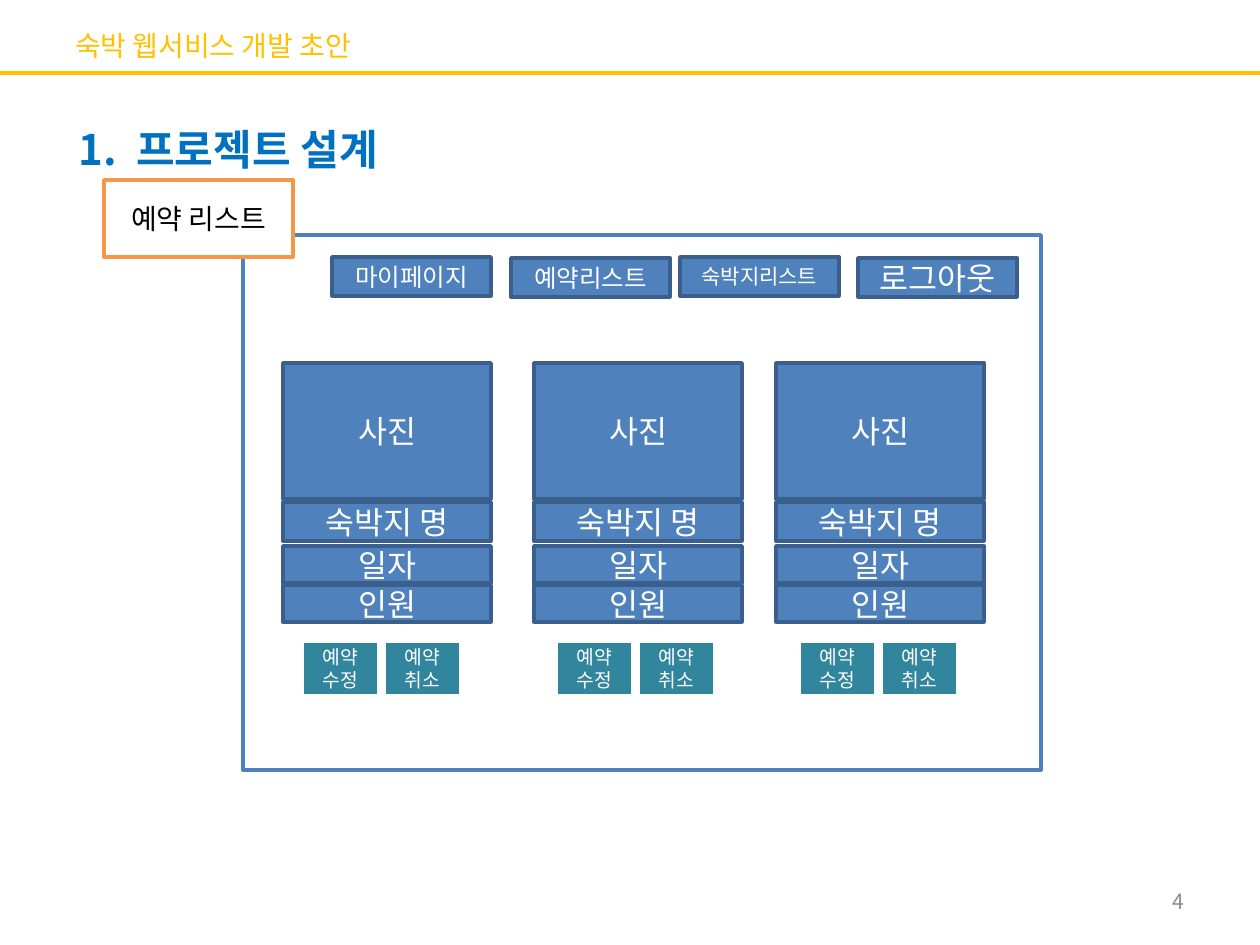
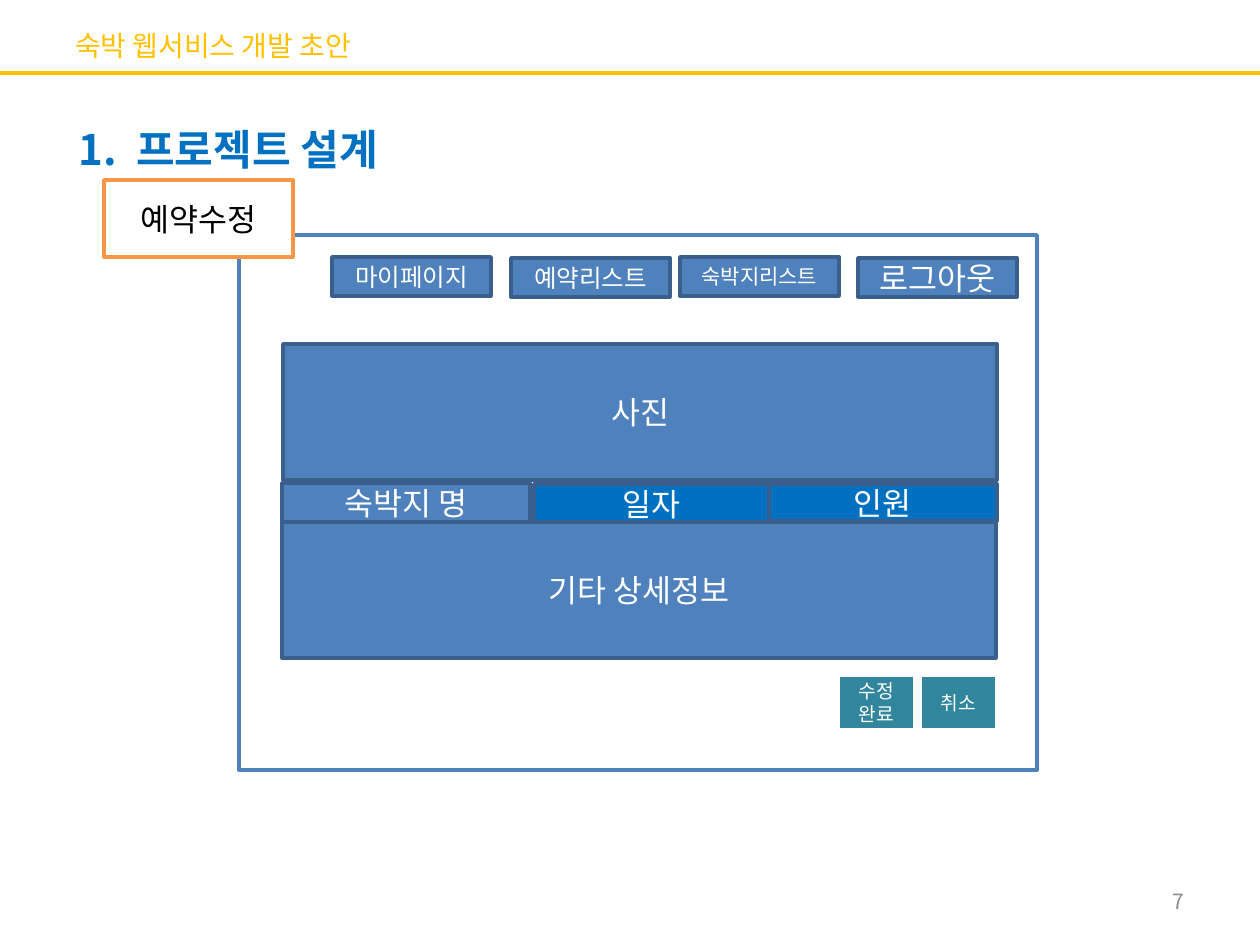
import pptx
import pptx.dml.color
import pptx.enum.shapes
import pptx.enum.text
import pptx.oxml.ns
import pptx.util
from lxml import etree

RGB = pptx.dml.color.RGBColor
WHITE = RGB(0xFF, 0xFF, 0xFF)
BLACK = RGB(0x00, 0x00, 0x00)
GOLD = RGB(0xFF, 0xC0, 0x00)
BLUE = RGB(0x4F, 0x81, 0xBD)
NAVY = RGB(0x3A, 0x5F, 0x8C)
BRIGHT = RGB(0x00, 0x70, 0xC0)
ORANGE = RGB(0xF7, 0x96, 0x46)
TEAL = RGB(0x31, 0x85, 0x9C)
GRAY = RGB(0x8C, 0x8C, 0x8C)
FONT = "Noto Sans CJK KR"
PX = 914400 / 126  # EMU per px

# Shared content: text, left, top, size
TITLE = "숙박 웹서비스 개발 초안"
HEADING = "1.\t프로젝트 설계"
HEADING_TAB = 58
NAV = [
    ("마이페이지", 332, 257, 14),
    ("예약리스트", 511, 258, 14),
    ("숙박지리스트", 680, 257, 12),
    ("로그아웃", 858, 258, 18),
]
NAV_SIZE = (159, 39)
BUTTON_SIZE, BUTTON_STEP = (77, 55), 82

# Reservation list: cards as (left, left of first button), rows as (text, top, height)
CARDS = [(283, 302), (534, 556), (776, 799)]
CARD_WIDTH = 208
CARD_ROWS = [
    ("사진", 363, 136),
    ("일자", 546, 37),
    ("인원", 585, 37),
    ("숙박지 명", 502, 39),
]
CARD_BUTTONS = ["예약수정", "예약취소"]
CARD_BUTTON_TOP = 641

# Reservation edit: text, box, fill
EDIT_BLOCKS = [
    ("사진", (283, 344, 714, 136), BLUE),
    ("일자", (534, 484, 235, 39), BRIGHT),
    ("인원", (769, 484, 228, 37), BRIGHT),
    ("숙박지 명", (282, 483, 248, 39), BLUE),
    ("기타 상세정보", (282, 522, 714, 136), BLUE),
]
EDIT_BUTTONS = ["수정완료", "취소"]
EDIT_BUTTON_LEFT, EDIT_BUTTON_TOP = 838, 675


def px(*values):
    return [round(v * PX) for v in values]


def write(tf, text, size, color, align, bold=False, tab=None):
    tf.word_wrap = True
    p = tf.paragraphs[0]
    p.text = text
    p.alignment = align
    if tab:
        tabs = etree.SubElement(p._p.get_or_add_pPr(), pptx.oxml.ns.qn("a:tabLst"))
        etree.SubElement(tabs, pptx.oxml.ns.qn("a:tab"), pos=str(px(tab)[0]), algn="l")
    for r in p.runs:
        r.font.size = pptx.util.Pt(size)
        r.font.bold = bold
        r.font.name = FONT
        r.font.color.rgb = color
        etree.SubElement(r._r.get_or_add_rPr(), pptx.oxml.ns.qn("a:ea"), typeface=FONT)


def add_text(slide, box, text, size, color, align=pptx.enum.text.PP_ALIGN.LEFT, **style):
    tf = slide.shapes.add_textbox(*px(*box)).text_frame
    tf.vertical_anchor = pptx.enum.text.MSO_ANCHOR.MIDDLE
    write(tf, text, size, color, align, **style)


def add_box(slide, box, text="", size=18, fill=BLUE, line=NAVY, color=WHITE):
    sp = slide.shapes.add_shape(pptx.enum.shapes.MSO_SHAPE.RECTANGLE, *px(*box))
    sp.shadow.inherit = False
    sp.fill.solid()
    sp.fill.fore_color.rgb = fill
    sp.line.color.rgb = line
    sp.line.width = pptx.util.Pt(2)
    if text:
        sp.text_frame.vertical_anchor = pptx.enum.text.MSO_ANCHOR.MIDDLE
        write(sp.text_frame, text, size, color, pptx.enum.text.PP_ALIGN.CENTER)


def add_buttons(slide, left, top, labels):
    for i, label in enumerate(labels):
        box = (left + i * BUTTON_STEP, top, *BUTTON_SIZE)
        add_box(slide, box, label, 11, TEAL, WHITE)


def add_screen(prs, number, label, label_size, frame_left):
    """Slide with header, page number, window frame, label and navigation."""
    slide = prs.slides.add_slide(prs.slide_layouts[6])
    rule = slide.shapes.add_connector(
        pptx.enum.shapes.MSO_CONNECTOR.STRAIGHT, *px(0, 73, 1260, 73))
    rule.line.color.rgb = GOLD
    rule.line.width = pptx.util.Pt(2.25)
    etree.SubElement(rule._element.spPr, pptx.oxml.ns.qn("a:effectLst"))
    add_text(slide, (63, 16, 1134, 59), TITLE, 16, GOLD)
    add_text(slide, (66, 117, 345, 63), HEADING, 24, BRIGHT, bold=True, tab=HEADING_TAB)
    add_text(slide, (904, 876, 293, 50), number, 12, GRAY, pptx.enum.text.PP_ALIGN.RIGHT)
    add_box(slide, (frame_left, 235, 798, 535), fill=WHITE, line=BLUE)
    add_box(slide, (104, 180, 189, 77), label, label_size, WHITE, ORANGE, BLACK)
    for text, left, top, size in NAV:
        add_box(slide, (left, top, *NAV_SIZE), text, size)
    return slide


def main():
    prs = pptx.Presentation()
    prs.slide_width, prs.slide_height = px(1260, 945)

    # Reservation list
    slide = add_screen(prs, "4", "예약 리스트", 16, 243)
    for left, button_left in CARDS:
        for text, top, height in CARD_ROWS:
            add_box(slide, (left, top, CARD_WIDTH, height), text)
        add_buttons(slide, button_left, CARD_BUTTON_TOP, CARD_BUTTONS)

    # Reservation edit
    slide = add_screen(prs, "7", "예약수정", 18, 239)
    for text, box, fill in EDIT_BLOCKS:
        add_box(slide, box, text, fill=fill)
    add_buttons(slide, EDIT_BUTTON_LEFT, EDIT_BUTTON_TOP, EDIT_BUTTONS)

    prs.save("out.pptx")


if __name__ == "__main__":
    main()
